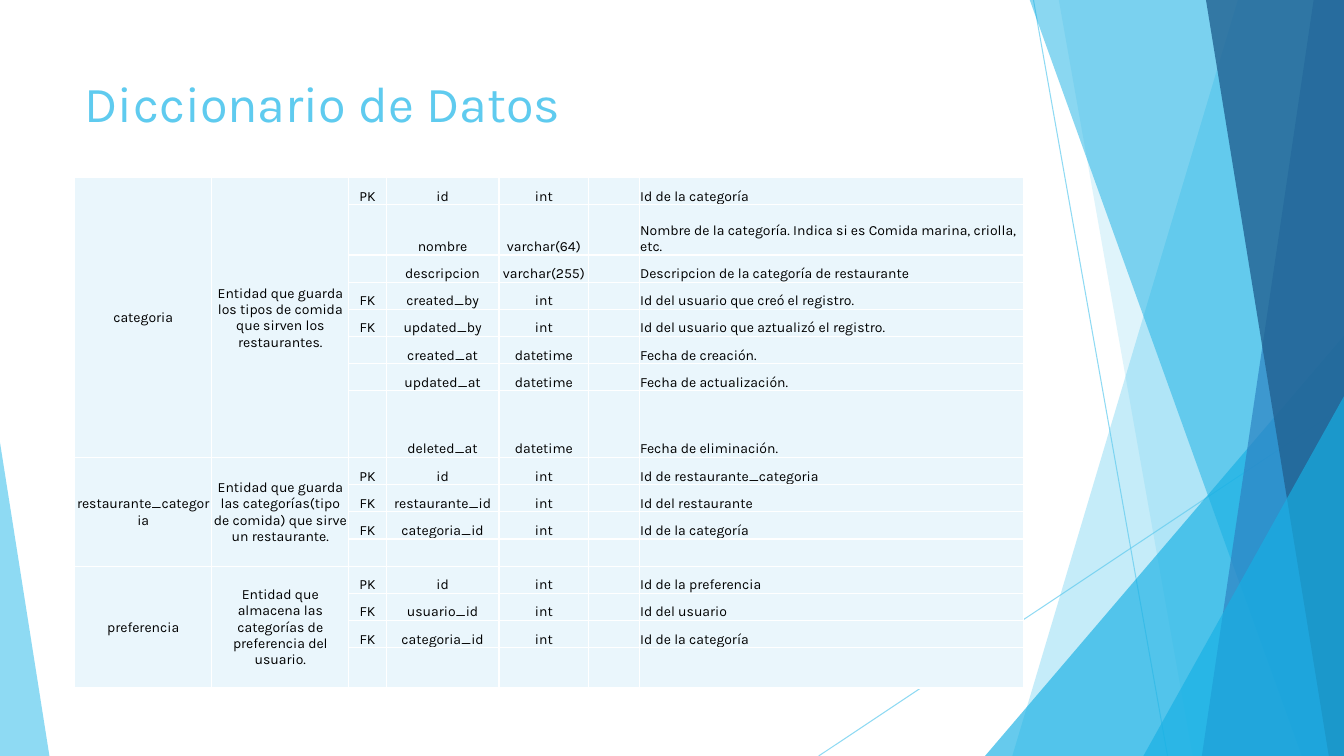
from lxml.etree import SubElement
from pptx import Presentation
from pptx.dml.color import RGBColor
from pptx.enum.shapes import MSO_CONNECTOR, MSO_SHAPE
from pptx.enum.text import MSO_ANCHOR, MSO_AUTO_SIZE, PP_ALIGN
from pptx.oxml.ns import qn
from pptx.util import Inches, Pt

FONT = "Karla"
SKY, AZURE, BLUE, NAVY = "5FCBEF", "17B0E4", "2E83C3", "226292"
WIDTH, HEIGHT = 13.33, 7.5


def paint(fill, color, opacity=100):
    """Give a fill one solid colour, with the opacity in percent."""
    fill.solid()
    fill.fore_color.rgb = RGBColor.from_string(color)
    if opacity < 100:
        color_node = next(fill._xPr.iter(qn("a:srgbClr")))
        SubElement(color_node, qn("a:alpha"), val=str(opacity * 1000))


def write(para, text, size, color):
    span = para.add_run()
    span.text = text
    span.font.name = FONT
    span.font.size = Pt(size)
    span.font.color.rgb = RGBColor.from_string(color)


deck = Presentation()
deck.slide_width, deck.slide_height = Inches(WIDTH), Inches(HEIGHT)
page = deck.slides.add_slide(deck.slide_layouts[5])

# Thin crossing lines
for start_x, start_y, end_x in [(10.25, 0, 11.58), (WIDTH, 4.03, 8.12)]:
    line = page.shapes.add_connector(
        MSO_CONNECTOR.STRAIGHT, Inches(start_x), Inches(start_y), Inches(end_x), Inches(HEIGHT))
    line.line.width = Pt(0.75)
    paint(line.line.fill, SKY, 70)
    SubElement(line._element.spPr, qn("a:effectLst"))

# Facets: bands (top x, bottom x) reach the right edge, triangles are
# (left, top, width, apex position)
facets = [
    ((12.28, 10.04), SKY, 36),
    ((10.5, 11.83), SKY, 20),
    ((9.77, 3.33, 3.56, 1), AZURE, 66),
    ((10.21, 12.91), AZURE, 50),
    ((13.03, 11.92), BLUE, 70),
    ((11.96, 13.18), NAVY, 80),
    ((11.34, 3.93, 1.99, 1), AZURE, 66),
    ((0, 4.39, 0.49, 0), SKY, 70),
]
for geometry, color, opacity in facets:
    if len(geometry) == 2:
        top_x, bottom_x = geometry
        corners = [(WIDTH, -0.01), (WIDTH, HEIGHT), (bottom_x, HEIGHT)]
        outline = page.shapes.build_freeform(Inches(top_x), Inches(-0.01))
        outline.add_line_segments([(Inches(x), Inches(y)) for x, y in corners], close=True)
        facet = outline.convert_to_shape()
    else:
        left, top, width, apex = geometry
        facet = page.shapes.add_shape(
            MSO_SHAPE.ISOSCELES_TRIANGLE,
            Inches(left), Inches(top), Inches(width), Inches(HEIGHT - top))
        facet.adjustments[0] = apex
    facet.shadow.inherit = False
    facet.line.fill.background()
    paint(facet.fill, color, opacity)

# Title, in front of the facets
title = page.shapes.title
page.shapes.element.append(title.element)
title.left, title.top, title.width, title.height = map(Inches, (0.74, 0.67, 9.4, 1.44))
title.text_frame.auto_size = MSO_AUTO_SIZE.NONE
title.text_frame.vertical_anchor = MSO_ANCHOR.TOP
title_para = title.text_frame.paragraphs[0]
title_para.alignment = PP_ALIGN.LEFT
write(title_para, "Diccionario de Datos", 36, SKY)

# Data dictionary: entity, purpose, and (key, field, type, description) rows
entities = [
    ("categoria", "Entidad que guarda los tipos de comida que sirven los restaurantes.", [
        ("PK", "id", "int", "Id de la categoría"),
        ("", "nombre", "varchar(64)",
         "Nombre de la categoría. Indica si es Comida marina, criolla, etc."),
        ("", "descripcion", "varchar(255)", "Descripcion de la categoría de restaurante"),
        ("FK", "created_by", "int", "Id del usuario que creó el registro."),
        ("FK", "updated_by", "int", "Id del usuario que aztualizó el registro."),
        ("", "created_at", "datetime", "Fecha de creación."),
        ("", "updated_at", "datetime", "Fecha de actualización."),
        ("", "deleted_at", "datetime", "Fecha de eliminación."),
    ]),
    ("restaurante_categoria",
     "Entidad que guarda las categorías(tipo de comida) que sirve un restaurante.", [
         ("PK", "id", "int", "Id de restaurante_categoria"),
         ("FK", "restaurante_id", "int", "Id del restaurante"),
         ("FK", "categoria_id", "int", "Id de la categoría"),
         ("", "", "", ""),
     ]),
    ("preferencia", "Entidad que almacena las categorías de preferencia del usuario.", [
        ("PK", "id", "int", "Id de la preferencia"),
        ("FK", "usuario_id", "int", "Id del usuario"),
        ("FK", "categoria_id", "int", "Id de la categoría"),
        ("", "", "", ""),
    ]),
]
column_widths = [1.36, 1.36, 0.37, 1.12, 0.89, 0.5, 3.81]
row_heights = [0.27] * 16
row_heights[1], row_heights[7], row_heights[15] = 0.5, 0.66, 0.4

table = page.shapes.add_table(
    len(row_heights), len(column_widths), Inches(0.74), Inches(1.76),
    Inches(sum(column_widths)), Inches(sum(row_heights))).table
table.first_row = table.horz_banding = False
for column, width in zip(table.columns, column_widths):
    column.width = Inches(width)
for row, height in zip(table.rows, row_heights):
    row.height = Inches(height)

grid = []
for entity, purpose, fields in entities:
    first, last = len(grid), len(grid) + len(fields) - 1
    for column in (0, 1):
        table.cell(first, column).merge(table.cell(last, column))
    for index, (key, field, kind, description) in enumerate(fields):
        lead = (entity, purpose) if index == 0 else ("", "")
        grid.append([*lead, key, field, kind, "", description])

for row, texts in enumerate(grid):
    for column, text in enumerate(texts):
        cell = table.cell(row, column)
        cell.margin_left = cell.margin_top = cell.margin_right = Inches(0.01)
        cell.margin_bottom = 0
        cell.vertical_anchor = MSO_ANCHOR.MIDDLE if column < 2 else MSO_ANCHOR.BOTTOM
        properties = cell._tc.get_or_add_tcPr()
        for side in ("lnL", "lnR", "lnT", "lnB"):
            border = SubElement(properties, qn(f"a:{side}"), w=str(Pt(1)))
            SubElement(SubElement(border, qn("a:solidFill")), qn("a:srgbClr"), val="FFFFFF")
        paint(cell.fill, "EAF6FC")
        para = cell.text_frame.paragraphs[0]
        para.alignment = PP_ALIGN.LEFT if column == 6 else PP_ALIGN.CENTER
        if text:
            write(para, text, 10, "000000")
        else:
            SubElement(para._p, qn("a:endParaRPr"), sz="1000")

deck.save("out.pptx")
